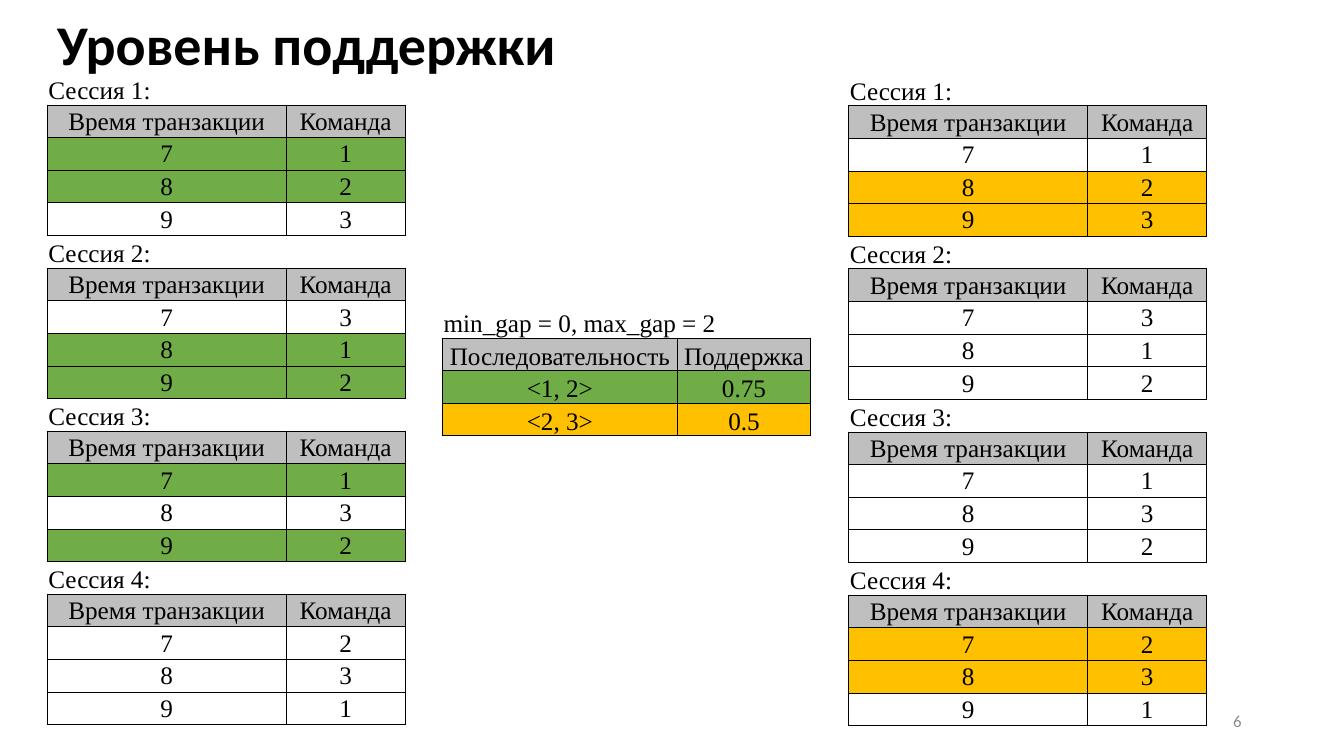
from lxml.etree import SubElement
from pptx import Presentation
from pptx.dml.color import RGBColor
from pptx.enum.text import MSO_ANCHOR, PP_ALIGN
from pptx.oxml.ns import qn
from pptx.util import Cm, Pt

BLACK, GRAY, GREEN, ORANGE = "000000", "BFBFBF", "70AD47", "FFC000"
PLAIN_STYLE = "{2D5ABB26-0587-4C30-8999-92F81FD0307C}"
TIMES = (7, 8, 9)
SESSIONS = ((1, 2, 3), (3, 1, 2), (1, 3, 2), (2, 3, 1))
FIRST_PAIR_TIMES = ((7, 8), (8, 9), (7, 9), ())
SECOND_PAIR_TIMES = ((8, 9), (), (), (7, 8))


def color(value):
    """Turn a hex string into a colour."""
    return RGBColor.from_string(value)


def write(frame, text, font="Times New Roman", size=18, ink=BLACK, bold=False,
          align=PP_ALIGN.LEFT, spacing=1.0):
    """Put one formatted line of text into a text frame."""
    para = frame.paragraphs[0]
    para.alignment = align
    para.line_spacing = spacing
    span = para.add_run()
    span.text = text
    span.font.name = font
    span.font.size = Pt(size)
    span.font.bold = bold
    span.font.color.rgb = color(ink)


def add_text(page, text, left, top, width, height, **style):
    """Add a vertically centred text box."""
    box = page.shapes.add_textbox(Cm(left), Cm(top), Cm(width), Cm(height))
    box.text_frame.word_wrap = True
    box.text_frame.vertical_anchor = MSO_ANCHOR.MIDDLE
    write(box.text_frame, text, **style)


def draw_borders(cell, sides):
    """Draw thin black lines on the given sides, in the order L, R, T, B."""
    properties = cell._tc.get_or_add_tcPr()
    for side in sides:
        line = SubElement(properties, qn(f"a:ln{side}"), w=str(Pt(0.5)))
        fill = SubElement(line, qn("a:solidFill"))
        SubElement(fill, qn("a:srgbClr"), val=BLACK)


def fill_cell(cell, text, sides, fill, anchor, align):
    """Give a cell its borders, fill and text."""
    cell.margin_left = cell.margin_right = cell.margin_top = Cm(0.03)
    cell.margin_bottom = 0
    cell.vertical_anchor = anchor
    draw_borders(cell, sides)
    if fill:
        cell.fill.solid()
        cell.fill.fore_color.rgb = color(fill)
    else:
        cell.fill.background()
    if text:
        write(cell.text_frame, text, align=align)


def add_grid(page, rows, left, top, widths, height, anchor=MSO_ANCHOR.MIDDLE):
    """Add a two-column table; a row with an empty second text is a caption."""
    frame = page.shapes.add_table(len(rows), len(widths), Cm(left), Cm(top),
                                  Cm(sum(widths)), Cm(height))
    table = frame.table
    table.first_row = table.horz_banding = False
    table._tbl.tblPr.find(qn("a:tableStyleId")).text = PLAIN_STYLE
    for column, width in zip(table.columns, widths):
        column.width = Cm(width)
    for index, (texts, fill) in enumerate(rows):
        table.rows[index].height = Cm(height) // len(rows)
        for cell, text in zip(table.rows[index].cells, texts):
            if texts[1]:
                fill_cell(cell, text, "LRTB", fill, anchor, PP_ALIGN.CENTER)
            else:
                fill_cell(cell, text, "TB" if index else "B", fill,
                          MSO_ANCHOR.BOTTOM, PP_ALIGN.LEFT)
    return table


def session_rows(marked_times, mark):
    """List the rows of all sessions, with the marked times highlighted."""
    rows = []
    for number, (commands, marked) in enumerate(zip(SESSIONS, marked_times), 1):
        rows.append(((f"Сессия {number}:", ""), None))
        rows.append((("Время транзакции", "Команда"), GRAY))
        for time, command in zip(TIMES, commands):
            rows.append(((str(time), str(command)), mark if time in marked else None))
    return rows


def main():
    """Build the slide and save it."""
    deck = Presentation()
    deck.slide_width, deck.slide_height = Cm(33.87), Cm(19.05)
    page = deck.slides.add_slide(deck.slide_layouts[6])
    add_text(page, "Уровень поддержки", 1.19, 0, 29.21, 2.39,
             font="Calibri", size=40, bold=True, spacing=0.9)
    add_text(page, "6", 23.92, 17.66, 7.62, 1.01,
             font="Calibri", size=12, ink="8C8C8C", align=PP_ALIGN.RIGHT)
    support_rows = [
        (("min_gap = 0, max_gap = 2", ""), None),
        (("Последовательность", "Поддержка"), GRAY),
        (("<1, 2>", "0.75"), GREEN),
        (("<2, 3>", "0.5"), ORANGE),
    ]
    support = add_grid(page, support_rows, 11.15, 7.7, (5.92, 3.36), 3.28,
                       anchor=MSO_ANCHOR.BOTTOM)
    support.cell(0, 0).merge(support.cell(0, 1))
    for left, top, marked_times, mark in ((21.39, 1.84, SECOND_PAIR_TIMES, ORANGE),
                                          (1.19, 1.82, FIRST_PAIR_TIMES, GREEN)):
        add_grid(page, session_rows(marked_times, mark), left, top, (6.02, 3), 16.45)
    deck.save("out.pptx")


if __name__ == "__main__":
    main()
